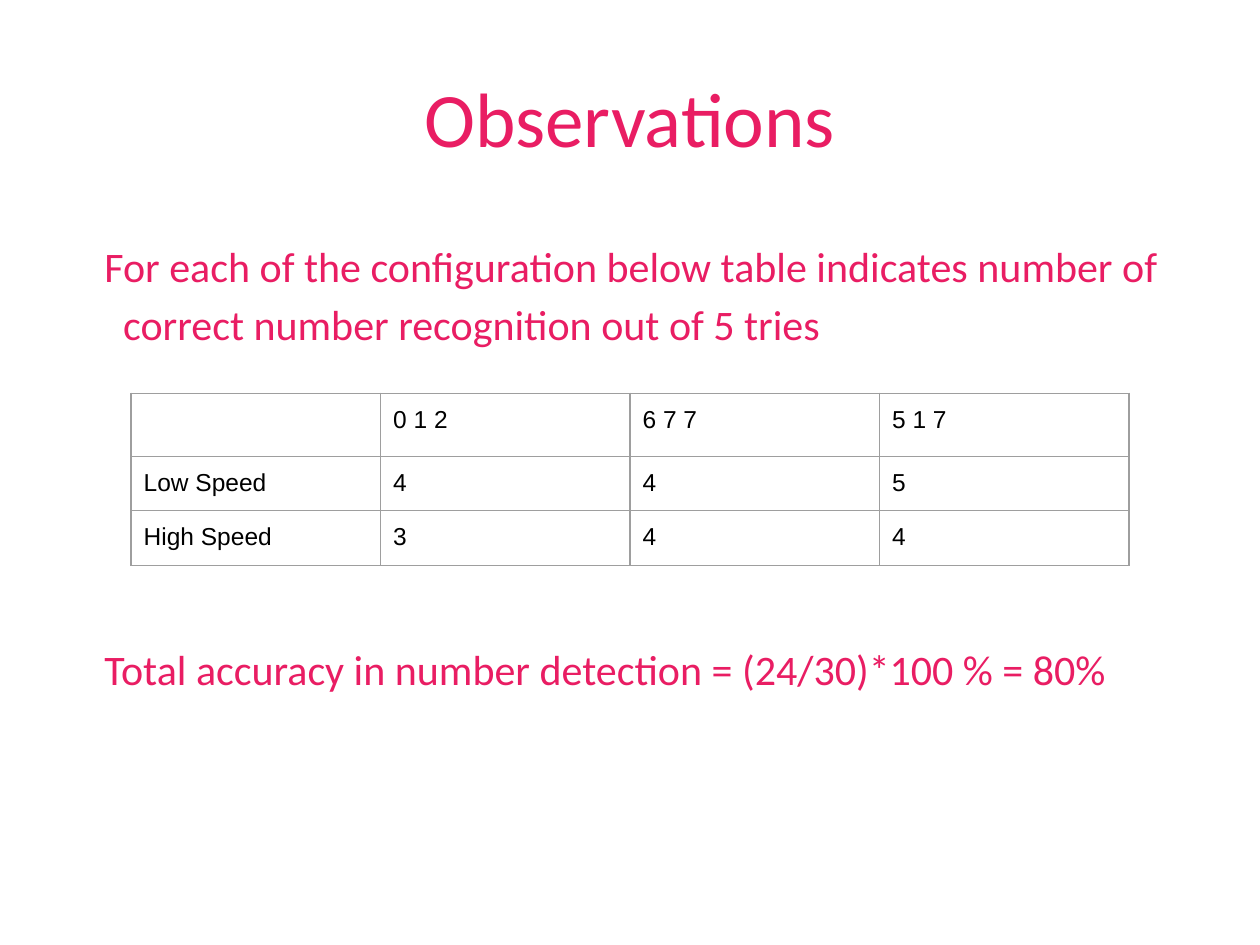
from dataclasses import dataclass

from lxml import etree
from pptx import Presentation
from pptx import util as u
from pptx.dml.color import RGBColor
from pptx.enum import text
from pptx.oxml import ns


@dataclass(frozen=True)
class Theme:
    pink: str = "E91D63"
    black: str = "000000"
    grey: str = "9E9E9E"
    head: str = "Calibri"
    cell: str = "Arial"
    title: int = 44
    body: int = 24
    small: int = 14
    rule: float = 0.75
    pad: float = 0.1


class Deck:
    """Draws styled elements on the current slide."""

    def __init__(self, theme):
        self.theme = theme
        self.file = Presentation()
        self.file.slide_width, self.file.slide_height = u.Inches(10), u.Inches(7.5)
        self.slide = self.file.slides.add_slide(self.file.slide_layouts[6])

    def pad(self, item):
        for side in ("left", "top", "right", "bottom"):
            setattr(item, f"margin_{side}", u.Inches(self.theme.pad))

    def run(self, para, words, size, font, color):
        run = para.add_run()
        run.text = words
        run.font.size, run.font.name = u.Pt(size), font
        run.font.color.rgb = RGBColor.from_string(color)

    def box(self, area):
        frame = self.slide.shapes.add_textbox(*map(u.Inches, area)).text_frame
        frame.word_wrap = True
        self.pad(frame)
        return frame

    def title(self, area, words):
        frame = self.box(area)
        frame.vertical_anchor = text.MSO_ANCHOR.MIDDLE
        para = frame.paragraphs[0]
        para.alignment = text.PP_ALIGN.CENTER
        self.run(para, words, self.theme.title, self.theme.head, self.theme.pink)

    def body(self, area, lines, gap):
        frame = self.box(area)
        for i, words in enumerate(lines):
            para = frame.add_paragraph() if i else frame.paragraphs[0]
            para.line_spacing, para.space_after = 1.15, u.Pt(16)
            para.space_before = u.Pt(gap if i else 0)
            props = para._p.get_or_add_pPr()
            props.set("marL", str(u.Inches(0.38)))
            props.set("indent", str(u.Inches(-0.15)))
            self.run(para, words, self.theme.body, self.theme.head, self.theme.pink)

    def border(self, cell):
        props = cell._tc.get_or_add_tcPr()
        for side in ("lnL", "lnR", "lnT", "lnB"):
            line = etree.SubElement(props, ns.qn(f"a:{side}"), w=str(u.Pt(self.theme.rule)))
            fill = etree.SubElement(line, ns.qn("a:solidFill"))
            etree.SubElement(fill, ns.qn("a:srgbClr"), val=self.theme.grey)

    def table(self, left, top, wide, highs, data):
        cols = len(data[0])
        area = (left, top, wide * cols, sum(highs))
        grid = self.slide.shapes.add_table(len(data), cols, *map(u.Inches, area)).table
        grid.first_row = grid.horz_banding = False
        for col in grid.columns:
            col.width = u.Inches(wide)
        for row, high, words in zip(grid.rows, highs, data):
            row.height = u.Inches(high)
            for cell, word in zip(row.cells, words):
                self.pad(cell)
                self.border(cell)
                cell.fill.background()
                if word:
                    self.run(cell.text_frame.paragraphs[0], word, self.theme.small,
                             self.theme.cell, self.theme.black)


def main():
    deck = Deck(Theme())
    deck.title((0.5, 0.3, 9, 1.25), "Observations")
    deck.body((0.5, 1.75, 9, 4.95), [
        "For each of the configuration below table indicates number of "
        "correct number recognition out of 5 tries",
        "Total accuracy in number detection = (24/30)*100 % = 80%",
    ], gap=148)
    deck.table(1.04, 3.12, 1.98, (0.48, 0.42, 0.42), [
        ("", "0 1 2", "6 7 7", "5 1 7"),
        ("Low Speed", "4", "4", "5"),
        ("High Speed", "3", "4", "4"),
    ])
    deck.file.save("out.pptx")


if __name__ == "__main__":
    main()
